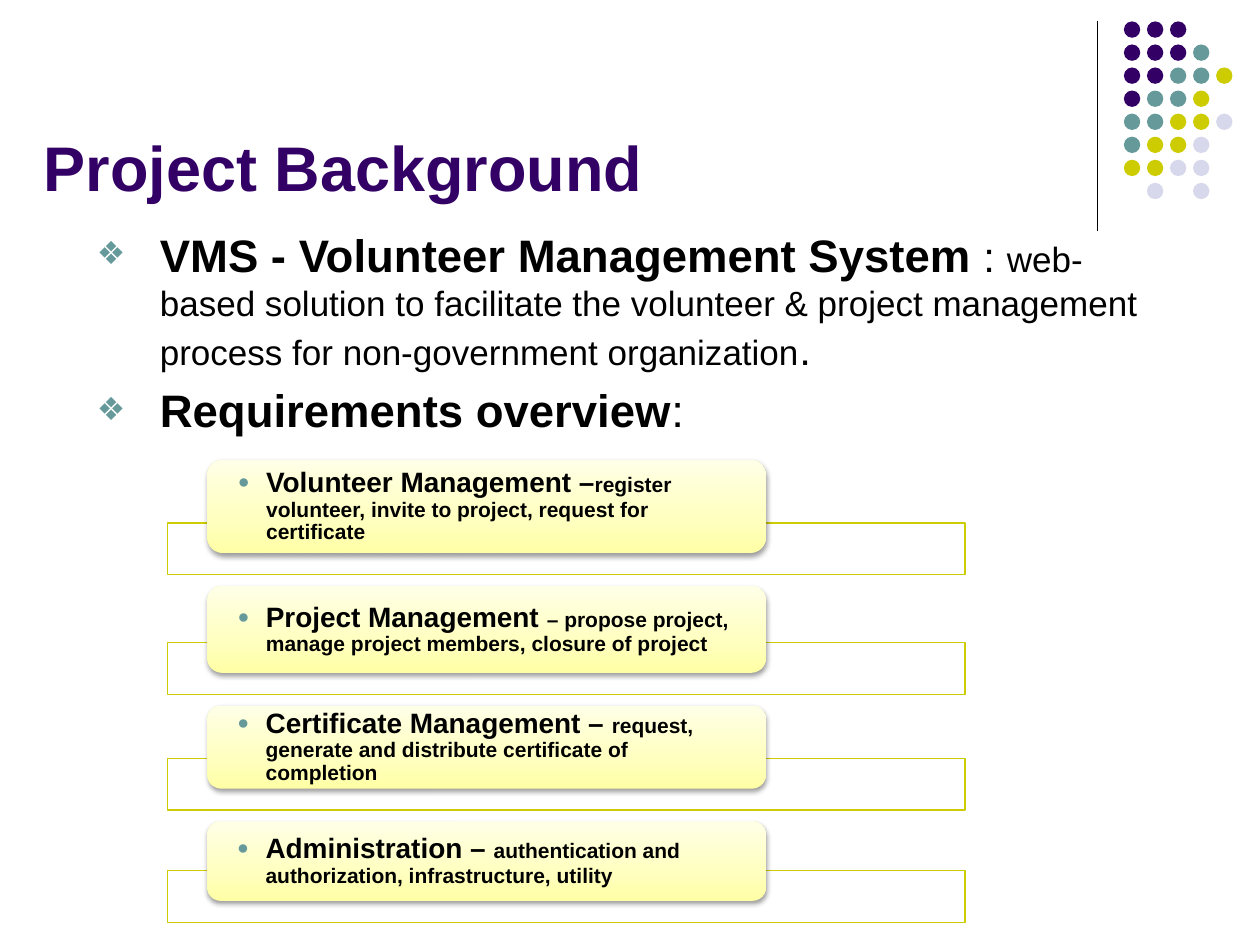
from lxml import etree
from pptx import Presentation
from pptx.dml.color import RGBColor
from pptx.enum.shapes import MSO_CONNECTOR, MSO_SHAPE
from pptx.enum.text import MSO_ANCHOR, PP_ALIGN
from pptx.oxml.ns import qn
from pptx.util import Inches, Pt

LINE = MSO_CONNECTOR.STRAIGHT
ELLIPSE, RECTANGLE = MSO_SHAPE.OVAL, MSO_SHAPE.RECTANGLE
ROUNDED = MSO_SHAPE.ROUNDED_RECTANGLE
TOP, MIDDLE, BOTTOM = MSO_ANCHOR.TOP, MSO_ANCHOR.MIDDLE, MSO_ANCHOR.BOTTOM
LEFT = PP_ALIGN.LEFT

BLACK = RGBColor(0x00, 0x00, 0x00)
WHITE = RGBColor(0xFF, 0xFF, 0xFF)
PURPLE = RGBColor(0x33, 0x00, 0x66)
TEAL = RGBColor(0x66, 0x99, 0x99)
YELLOW = RGBColor(0xCC, 0xCC, 0x00)
LAVENDER = RGBColor(0xD8, 0xD8, 0xEC)
CARD_STOPS = [
    (0, RGBColor(0xFF, 0xFF, 0xA5)),
    (35, RGBColor(0xFF, 0xFF, 0xBF)),
    (100, RGBColor(0xFF, 0xFF, 0xE7)),
]

FONT = "Arial"
SLIDE_WIDTH, SLIDE_HEIGHT = Inches(10), Inches(7.5)
COLUMNS = 100
CELL = SLIDE_WIDTH / COLUMNS

DOT_COLORS = {"P": PURPLE, "T": TEAL, "Y": YELLOW, "L": LAVENDER}
DOT_ROWS = ["PPP", "PPPT", "PPTTY", "PTTY", "TTYYL", "TYYL", "YYLL", ".L.L"]

OVERVIEW = [
    [
        ("VMS - Volunteer Management System", {"size": Pt(26), "bold": True}),
        (" ", {"size": Pt(24), "italic": True}),
        (": ", {"size": Pt(24)}),
        ("web-based solution to facilitate the volunteer & project management "
         "process for non-government organization", {"size": Pt(20)}),
        (".", {"size": Pt(24)}),
    ],
    [
        ("Requirements overview", {"size": Pt(26), "bold": True}),
        (":", {"size": Pt(26)}),
    ],
]
REQUIREMENTS = [
    (7.4, "Volunteer Management –",
     "register volunteer, invite to project, request for certificate"),
    (6.9, "Project Management ",
     "– propose project, manage project members, closure of project"),
    (6.6, "Certificate Management – ",
     "request, generate and distribute certificate of completion"),
    (6.3, "Administration – ",
     "authentication and authorization, infrastructure, utility"),
]


def cells(*counts):
    """Convert counts of grid cells to slide lengths."""
    return [round(count * CELL) for count in counts]


def apply_format(target, values):
    """Set each named attribute on the target."""
    for name, value in values.items():
        setattr(target, name, value)


def add_node(parent, tag, **attributes):
    """Append a drawing element with the given attributes."""
    node = etree.SubElement(parent, qn(tag))
    for name, value in attributes.items():
        node.set(name, str(value))
    return node


def add_plain_shape(shapes, kind, box, color):
    """Add a solid shape without outline or shadow."""
    shape = shapes.add_shape(kind, *cells(*box))
    shape.shadow.inherit = False
    shape.fill.solid()
    shape.fill.fore_color.rgb = color
    shape.line.fill.background()
    return shape


def set_frame(shape, anchor, side=1, edge=0.5):
    """Prepare the text frame with wrapping, anchor and insets."""
    side, edge = cells(side, edge)
    apply_format(shape.text_frame, {
        "word_wrap": True, "vertical_anchor": anchor,
        "margin_left": side, "margin_right": side,
        "margin_top": edge, "margin_bottom": edge,
    })
    return shape.text_frame


def write_runs(paragraph, runs, color=BLACK):
    """Write formatted runs into a left-aligned paragraph."""
    paragraph.alignment = LEFT
    for text, values in runs:
        run = paragraph.add_run()
        run.text = text
        apply_format(run.font, {"name": FONT, "bold": False, **values})
        run.font.color.rgb = color


def set_bullet(paragraph, character, indent):
    """Give the paragraph a teal bullet with a hanging indent."""
    hang, = cells(indent)
    properties = paragraph._p.get_or_add_pPr()
    properties.set("marL", str(hang))
    properties.set("indent", str(-hang))
    add_node(add_node(properties, "a:buClr"), "a:srgbClr", val=TEAL)
    add_node(properties, "a:buSzPct", val=70000)
    add_node(properties, "a:buFont", typeface=FONT)
    add_node(properties, "a:buChar", char=character)


def add_dot_ornament(slide, box):
    """Draw the vertical rule and the dot pattern beside it."""
    left, top, height = box
    x, start, end = cells(left, top, top + height)
    rule = slide.shapes.add_connector(LINE, x, start, x, end)
    rule.line.color.rgb = BLACK
    rule.line.width = Pt(0.75)
    add_node(rule._element.spPr, "a:effectLst")
    dots = slide.shapes.add_group_shape().shapes
    pitch, size, gap = 1.83, 1.3, 2.1
    for row, pattern in enumerate(DOT_ROWS):
        for column, key in enumerate(pattern):
            if key in DOT_COLORS:
                place = (left + gap + column * pitch, top + row * pitch, size, size)
                add_plain_shape(dots, ELLIPSE, place, DOT_COLORS[key])


def add_title(slide, box):
    """Write the slide title at the bottom of its box."""
    frame = set_frame(slide.shapes.add_textbox(*cells(*box)), BOTTOM)
    runs = [("Project Background", {"size": Pt(36), "bold": True})]
    write_runs(frame.paragraphs[0], runs, PURPLE)


def add_overview(slide, box):
    """Write the bulleted overview."""
    frame = set_frame(slide.shapes.add_textbox(*cells(*box)), TOP)
    for index, runs in enumerate(OVERVIEW):
        paragraph = frame.add_paragraph() if index else frame.paragraphs[0]
        write_runs(paragraph, runs)
        paragraph.space_before = Pt(5)
        set_bullet(paragraph, "❖", 5)


def style_card(card):
    """Give the card its upward gradient and soft shadow."""
    card.fill.gradient()
    card.fill.gradient_angle = 90
    properties = card._element.spPr
    stops = properties.find(".//" + qn("a:gsLst"))
    for stop in list(stops):
        stops.remove(stop)
    for percent, color in CARD_STOPS:
        stop = add_node(stops, "a:gs", pos=percent * 1000)
        add_node(stop, "a:srgbClr", val=color)
    shadow = add_node(properties.find(qn("a:effectLst")), "a:outerShdw",
                      blurRad=Pt(3.1), dist=Pt(1.6), dir=5400000, rotWithShape=0)
    add_node(add_node(shadow, "a:srgbClr", val=BLACK), "a:alpha", val=38000)


def add_requirements(slide, box):
    """Stack the requirement cards, each over its outlined bar."""
    left, top, width = box
    shapes = slide.shapes.add_group_shape().shapes
    bar_height, overlap, gap = 4.1, 2.4, 2.6
    for height, heading, detail in REQUIREMENTS:
        bar_box = (left, top + height - overlap, width, bar_height)
        bar = add_plain_shape(shapes, RECTANGLE, bar_box, WHITE)
        add_node(bar._element.spPr.find(".//" + qn("a:srgbClr")), "a:alpha", val=90000)
        bar.line.color.rgb = YELLOW
        bar.line.width = Pt(0.75)
        card_box = (left + width * 0.05, top, width * 0.7, height)
        card = add_plain_shape(shapes, ROUNDED, card_box, WHITE)
        style_card(card)
        paragraph = set_frame(card, MIDDLE, side=2.05, edge=0).paragraphs[0]
        write_runs(paragraph, [(heading, {"size": Pt(16), "bold": True}),
                               (detail, {"size": Pt(12), "bold": True})])
        paragraph.line_spacing = 0.9
        set_bullet(paragraph, "●", 2.25)
        top += height + gap


def main():
    """Build and save the project background slide."""
    presentation = Presentation()
    presentation.slide_width, presentation.slide_height = SLIDE_WIDTH, SLIDE_HEIGHT
    slide = presentation.slides.add_slide(presentation.slide_layouts[6])
    add_dot_ornament(slide, (87.1, 1.7, 16.6))
    add_title(slide, (2.5, 2.5, 84.2, 14.2))
    add_overview(slide, (6.7, 17.5, 87.5, 18.4))
    add_requirements(slide, (13.3, 36.5, 63.3))
    presentation.save("out.pptx")


if __name__ == "__main__":
    main()
